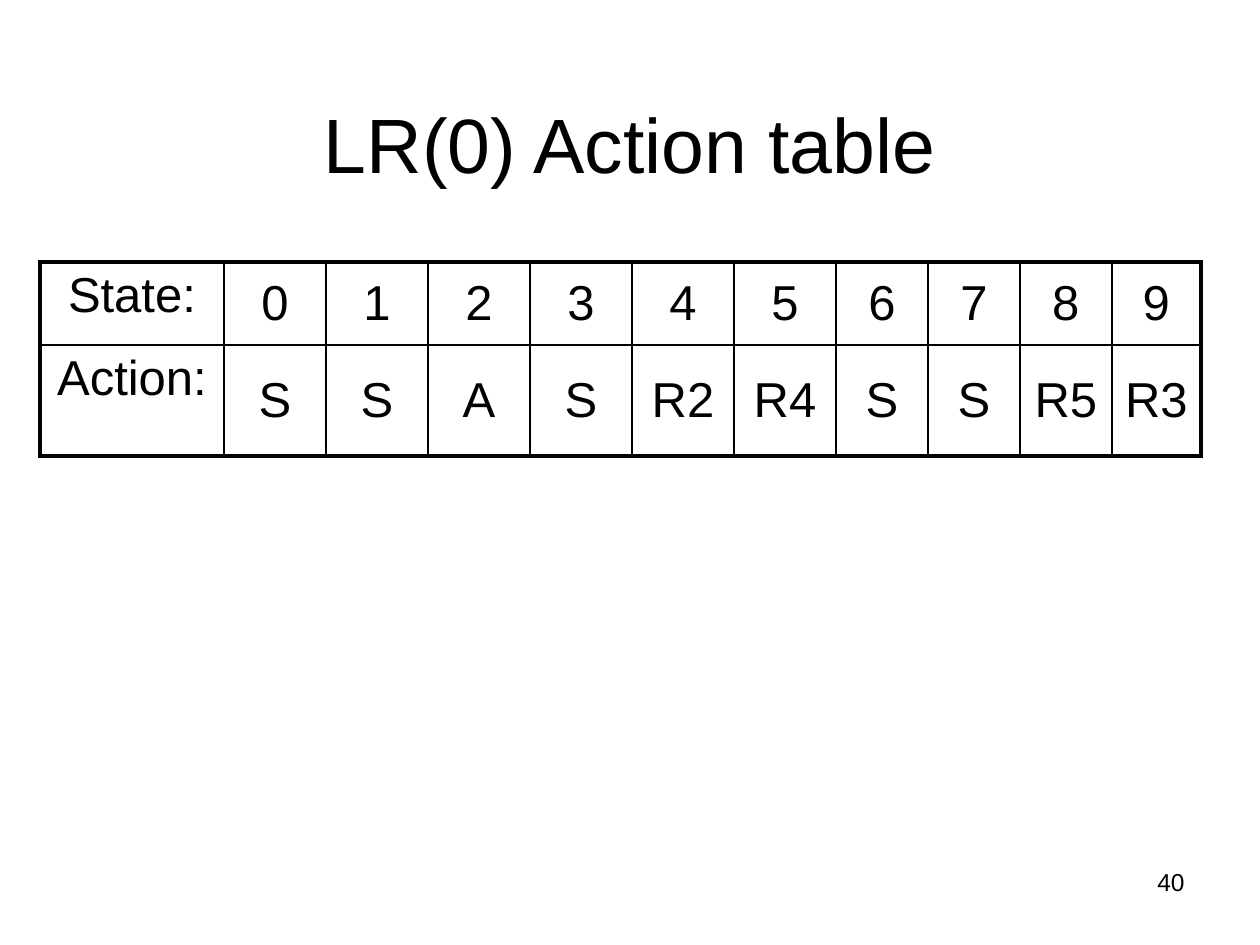
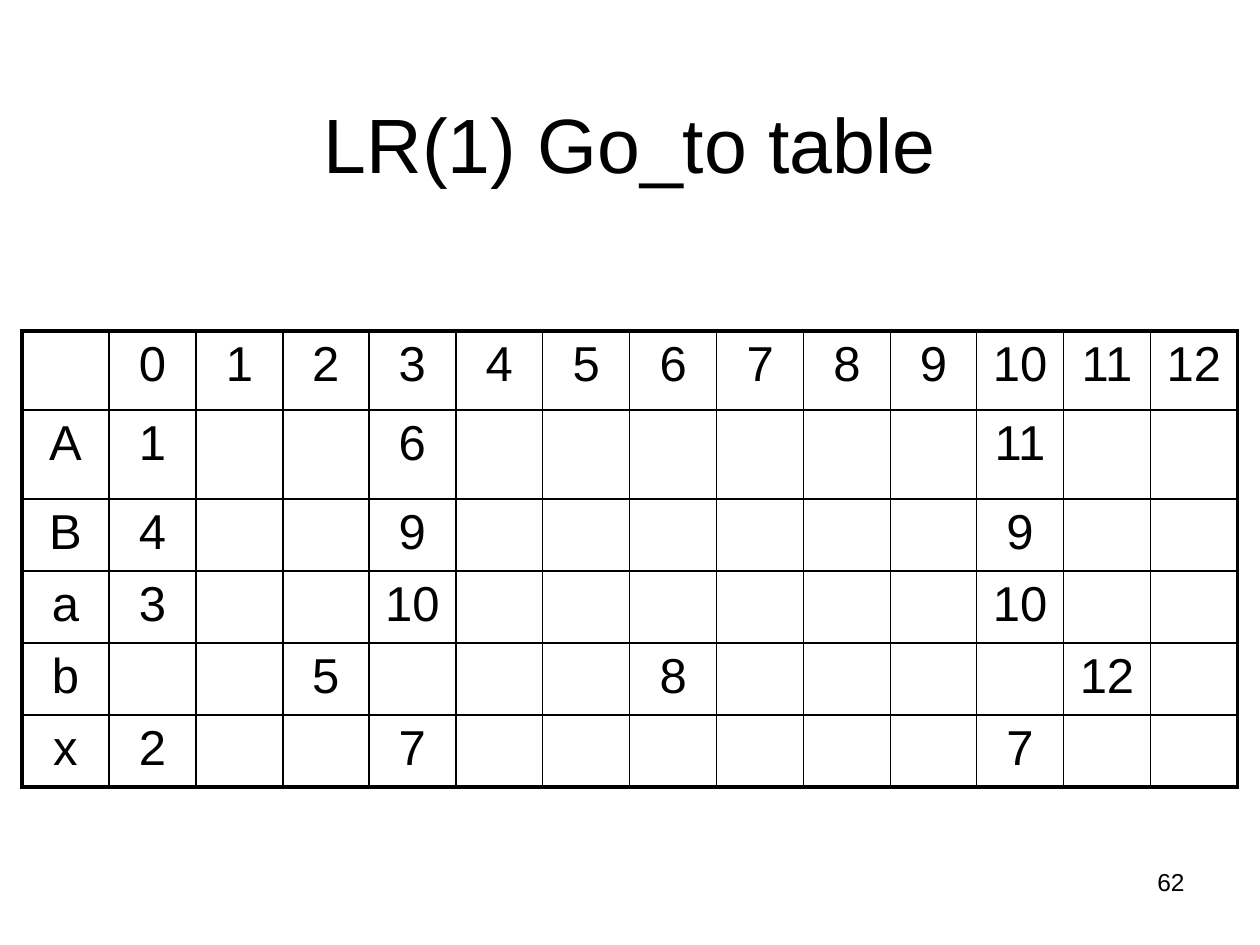
from dataclasses import dataclass

from lxml.etree import SubElement
from pptx import Presentation
from pptx.dml.color import RGBColor
from pptx.enum.text import MSO_ANCHOR, MSO_AUTO_SIZE, PP_ALIGN
from pptx.oxml.ns import qn
from pptx.util import Emu, Pt


@dataclass(frozen=True)
class Theme:
    font: str = "Arial"
    ink: str = "000000"
    title_size: int = 44
    cell_size: int = 28
    number_size: int = 14
    outer_line: float = 2.25
    inner_line: float = 1


THEME = Theme()
PIXELS_PER_INCH = 126
SLIDE_SIZE = (1260, 945)
TITLE_BOX = (63, 38, 1134, 157)
NUMBER_BOX = (903, 861, 294, 65)
TITLE_ONLY = 5


def equal_widths(total, count):
    edges = [round(total * index / count) for index in range(count + 1)]
    return [right - left for left, right in zip(edges, edges[1:])]


def goto_row(symbol, targets):
    return [symbol] + [targets.get(state, "") for state in range(13)]


SLIDES = [
    {
        "title": "LR(0) Action table",
        "number": "40",
        "origin": (40, 262),
        "columns": [184] + [102] * 6 + [92] * 3 + [89],
        "rows": [83, 111],
        "anchor": MSO_ANCHOR.MIDDLE,
        "cells": [
            ["State:"] + [str(state) for state in range(10)],
            ["Action:", "S", "S", "A", "S", "R2", "R4", "S", "S", "R5", "R3"],
        ],
    },
    {
        "title": "LR(1) Go_to table",
        "number": "62",
        "origin": (22, 331),
        "columns": equal_widths(1216, 14),
        "rows": [79, 89] + [72] * 4,
        "anchor": MSO_ANCHOR.TOP,
        "cells": [
            [""] + [str(state) for state in range(13)],
            goto_row("A", {0: "1", 3: "6", 10: "11"}),
            goto_row("B", {0: "4", 3: "9", 10: "9"}),
            goto_row("a", {0: "3", 3: "10", 10: "10"}),
            goto_row("b", {2: "5", 6: "8", 11: "12"}),
            goto_row("x", {0: "2", 3: "7", 10: "7"}),
        ],
    },
]


def px(length):
    return Emu(round(length * 914400 / PIXELS_PER_INCH))


def write(text_frame, text, size, alignment):
    paragraph = text_frame.paragraphs[0]
    paragraph.text = text
    paragraph.alignment = alignment
    paragraph.font.name = THEME.font
    paragraph.font.size = Pt(size)
    paragraph.font.color.rgb = RGBColor.from_string(THEME.ink)


def add_title(slide, text):
    title = slide.shapes.title
    title.left, title.top, title.width, title.height = map(px, TITLE_BOX)
    title.text_frame.auto_size = MSO_AUTO_SIZE.NONE
    title.text_frame.vertical_anchor = MSO_ANCHOR.BOTTOM
    write(title.text_frame, text, THEME.title_size, PP_ALIGN.CENTER)


def add_number(slide, text):
    number = slide.shapes.add_textbox(*map(px, NUMBER_BOX))
    number.text_frame.word_wrap = True
    write(number.text_frame, text, THEME.number_size, PP_ALIGN.RIGHT)


def set_borders(cell, outer_sides):
    properties = cell._tc.get_or_add_tcPr()
    for side in "LRTB":
        width = THEME.outer_line if side in outer_sides else THEME.inner_line
        line = SubElement(properties, qn(f"a:ln{side}"), w=str(Pt(width)))
        fill = SubElement(line, qn("a:solidFill"))
        SubElement(fill, qn("a:srgbClr"), val=THEME.ink)


def add_parse_table(slide, content):
    columns, rows = content["columns"], content["rows"]
    box = (*content["origin"], sum(columns), sum(rows))
    table = slide.shapes.add_table(len(rows), len(columns), *map(px, box)).table
    table.first_row = False
    table.horz_banding = False
    for column, width in zip(table.columns, columns):
        column.width = px(width)
    for row, height in zip(table.rows, rows):
        row.height = px(height)

    for row_index, texts in enumerate(content["cells"]):
        for column_index, text in enumerate(texts):
            cell = table.cell(row_index, column_index)
            edges = {
                "L": column_index == 0,
                "R": column_index == len(columns) - 1,
                "T": row_index == 0,
                "B": row_index == len(rows) - 1,
            }
            set_borders(cell, [side for side, outer in edges.items() if outer])
            cell.fill.background()
            cell.vertical_anchor = MSO_ANCHOR.TOP if edges["L"] else content["anchor"]
            write(cell.text_frame, text, THEME.cell_size, PP_ALIGN.CENTER)


def main():
    presentation = Presentation()
    presentation.slide_width, presentation.slide_height = map(px, SLIDE_SIZE)
    for content in SLIDES:
        slide = presentation.slides.add_slide(presentation.slide_layouts[TITLE_ONLY])
        add_number(slide, content["number"])
        add_title(slide, content["title"])
        add_parse_table(slide, content)
    presentation.save("out.pptx")


if __name__ == "__main__":
    main()
